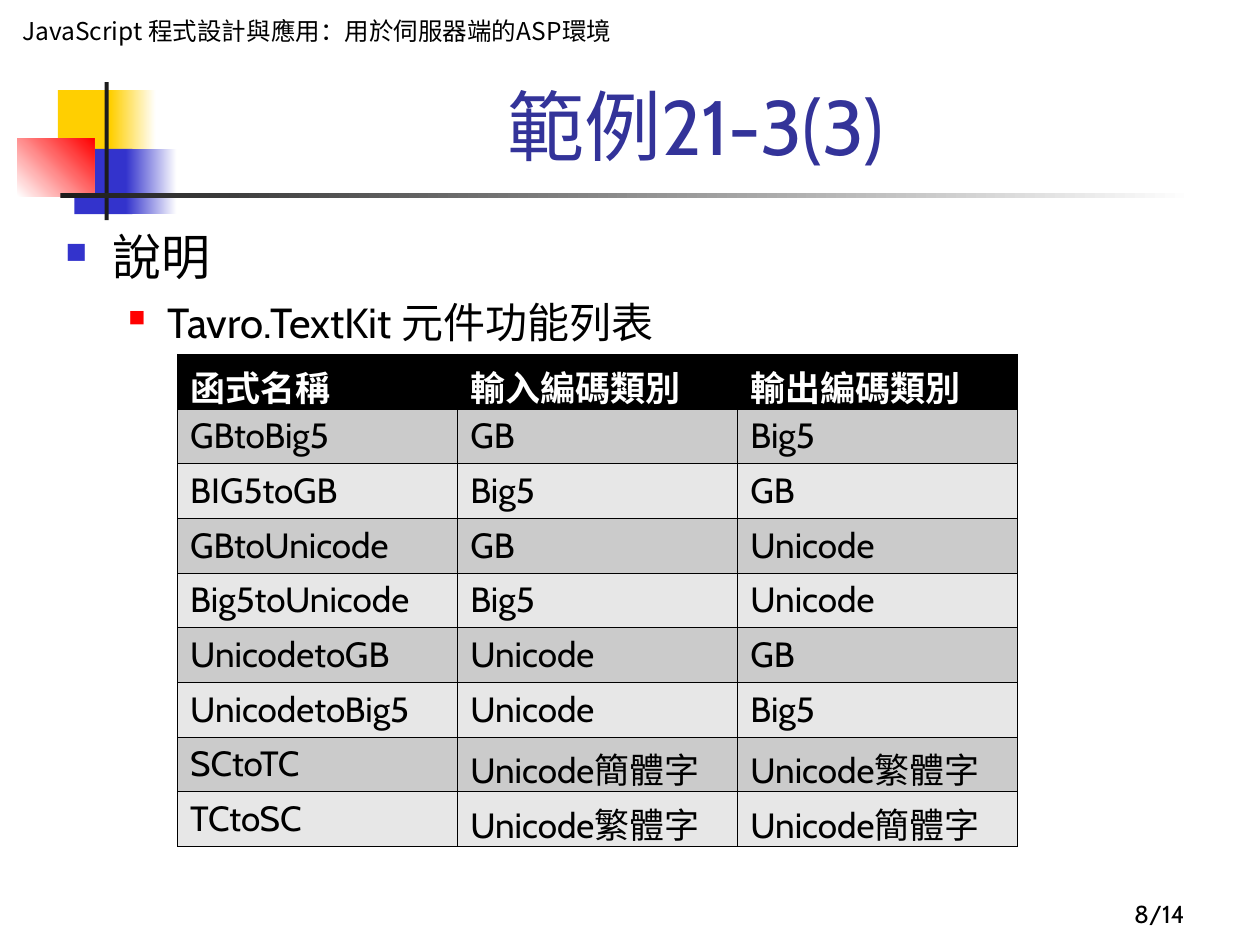
"""Build the slide that lists the conversion functions of a component."""
from dataclasses import dataclass
from typing import Optional

from lxml import etree
from pptx import Presentation
from pptx import util as u
from pptx.dml.color import RGBColor
from pptx.enum import shapes, text
from pptx.oxml import ns

CABIN, NOTO = "Cabin", "Noto Sans CJK SC"
BLACK, WHITE, CHARCOAL = "000000", "FFFFFF", "1C1C1C"
YELLOW, BLUE, RED, NAVY = "FFCF01", "3333CC", "FF0000", "333399"
DARK_BAND, LIGHT_BAND = "CBCBCB", "E7E7E7"
ROWS = [
    ("函式名稱", "輸入編碼類別", "輸出編碼類別"),
    ("GBtoBig5", "GB", "Big5"),
    ("BIG5toGB", "Big5", "GB"),
    ("GBtoUnicode", "GB", "Unicode"),
    ("Big5toUnicode", "Big5", "Unicode"),
    ("UnicodetoGB", "Unicode", "GB"),
    ("UnicodetoBig5", "Unicode", "Big5"),
    ("SCtoTC", "Unicode簡體字", "Unicode繁體字"),
    ("TCtoSC", "Unicode繁體字", "Unicode簡體字"),
]


@dataclass(frozen=True)
class Frame:
    left: float
    top: float
    width: float
    height: float

    def lengths(self) -> list:
        return [u.Cm(v) for v in (self.left, self.top, self.width, self.height)]


@dataclass(frozen=True)
class Block:
    frame: Frame
    color: str
    fade_to: Optional[str] = None
    angle: float = 0


@dataclass(frozen=True)
class Bullet:
    words: str
    size: float
    level: int
    margin: float
    hanging: float
    before: float
    color: str
    percent: int


BLOCKS = [
    Block(Frame(1.17, 1.82, 1.22, 1.33), YELLOW),
    Block(Frame(2.23, 1.82, 0.91, 1.33), YELLOW, WHITE),
    Block(Frame(1.5, 3, 1.17, 1.32), BLUE),
    Block(Frame(2.54, 3, 1.02, 1.32), BLUE, WHITE),
    Block(Frame(0.35, 2.79, 1.55, 1.17), WHITE, RED, 45),
    Block(Frame(2.11, 1.52, 0.08, 2.92), CHARCOAL),
    Block(Frame(1.22, 3.89, 22.86, 0.1), CHARCOAL, WHITE),
]
BULLETS = [
    Bullet("說明", 28, 0, 0.95, 0.95, 0, BLUE, 60),
    Bullet("Tavro.TextKit 元件功能列表", 24, 1, 2.06, 0.79, 6, RED, 55),
]


def rgb(color: str) -> RGBColor:
    return RGBColor.from_string(color)


def add_span(para, words: str, size: float, color: str = BLACK,
             font: str = CABIN, bold: bool = False) -> None:
    span = para.add_run()
    span.text = words
    span.font.size, span.font.name, span.font.bold = u.Pt(size), font, bold
    span.font.color.rgb = rgb(color)
    if font == NOTO:
        etree.SubElement(span.font._element, ns.qn("a:ea"), typeface=font)


def add_block(page, block: Block):
    box = page.shapes.add_shape(shapes.MSO_SHAPE.RECTANGLE, *block.frame.lengths())
    box.shadow.inherit = False
    box.line.fill.background()
    if block.fade_to:
        box.fill.gradient()
        box.fill.gradient_angle = block.angle
        for stop, color in zip(box.fill.gradient_stops, (block.color, block.fade_to)):
            stop.color.rgb = rgb(color)
    else:
        box.fill.solid()
        box.fill.fore_color.rgb = rgb(block.color)
    return box


def add_header(page) -> None:
    box = add_block(page, Block(Frame(0.2, 0.2, 12.5, 1.45), WHITE))
    box.text_frame.vertical_anchor = text.MSO_ANCHOR.TOP
    para = box.text_frame.paragraphs[0]
    para.alignment = text.PP_ALIGN.LEFT
    add_span(para, "JavaScript 程式設計與應用：用於伺服器端的ASP環境", 14, font=NOTO)


def set_title(page) -> None:
    title = page.shapes.title
    title.left, title.top, title.width, title.height = Frame(3.2, 1.47, 21.64, 2.11).lengths()
    title.text_frame.auto_size = text.MSO_AUTO_SIZE.NONE
    title.text_frame.vertical_anchor = text.MSO_ANCHOR.BOTTOM
    para = title.text_frame.paragraphs[0]
    para.alignment = text.PP_ALIGN.CENTER
    add_span(para, "範例21-3(3)", 44, NAVY)


def add_bullets(page) -> None:
    box = page.shapes.add_textbox(*Frame(1.07, 4.45, 23.83, 12.9).lengths())
    box.text_frame.word_wrap = True
    for index, bullet in enumerate(BULLETS):
        para = box.text_frame.add_paragraph() if index else box.text_frame.paragraphs[0]
        para.level = bullet.level
        para.space_before = u.Pt(bullet.before)
        props = para._p.get_or_add_pPr()
        props.set("marL", str(u.Cm(bullet.margin)))
        props.set("indent", str(-u.Cm(bullet.hanging)))
        tint = etree.SubElement(props, ns.qn("a:buClr"))
        etree.SubElement(tint, ns.qn("a:srgbClr"), val=bullet.color)
        etree.SubElement(props, ns.qn("a:buSzPct"), val=str(bullet.percent * 1000))
        etree.SubElement(props, ns.qn("a:buChar"), char="■")
        add_span(para, bullet.words, bullet.size)


def add_borders(cell) -> None:
    props = cell._tc.get_or_add_tcPr()
    for side in ("lnL", "lnR", "lnT", "lnB"):
        line = etree.SubElement(props, ns.qn(f"a:{side}"), w=str(u.Pt(0.45)))
        solid = etree.SubElement(line, ns.qn("a:solidFill"))
        etree.SubElement(solid, ns.qn("a:srgbClr"), val=BLACK)


def add_function_table(page) -> None:
    frame = Frame(3.58, 7.14, 16.94, 9.9)
    table = page.shapes.add_table(len(ROWS), len(ROWS[0]), *frame.lengths()).table
    for row_index, row in enumerate(ROWS):
        header = row_index == 0
        band = BLACK if header else (LIGHT_BAND, DARK_BAND)[row_index % 2]
        for column_index, words in enumerate(row):
            cell = table.cell(row_index, column_index)
            cell.vertical_anchor = text.MSO_ANCHOR.MIDDLE
            add_borders(cell)
            cell.fill.solid()
            cell.fill.fore_color.rgb = rgb(band)
            add_span(cell.text_frame.paragraphs[0], words, 20,
                     WHITE if header else BLACK, bold=header)


def add_page_number(page) -> None:
    box = page.shapes.add_textbox(*Frame(18.85, 17.58, 5.28, 1.27).lengths())
    box.text_frame.word_wrap = True
    box.text_frame.vertical_anchor = text.MSO_ANCHOR.BOTTOM
    para = box.text_frame.paragraphs[0]
    para.alignment = text.PP_ALIGN.RIGHT
    add_span(para, "8/14", 14)


def main() -> None:
    deck = Presentation()
    deck.slide_width, deck.slide_height = u.Cm(25.4), u.Cm(19.05)
    page = deck.slides.add_slide(deck.slide_layouts[5])
    for block in BLOCKS:
        add_block(page, block)
    add_header(page)
    set_title(page)
    add_bullets(page)
    add_function_table(page)
    add_page_number(page)
    deck.save("out.pptx")


if __name__ == "__main__":
    main()
